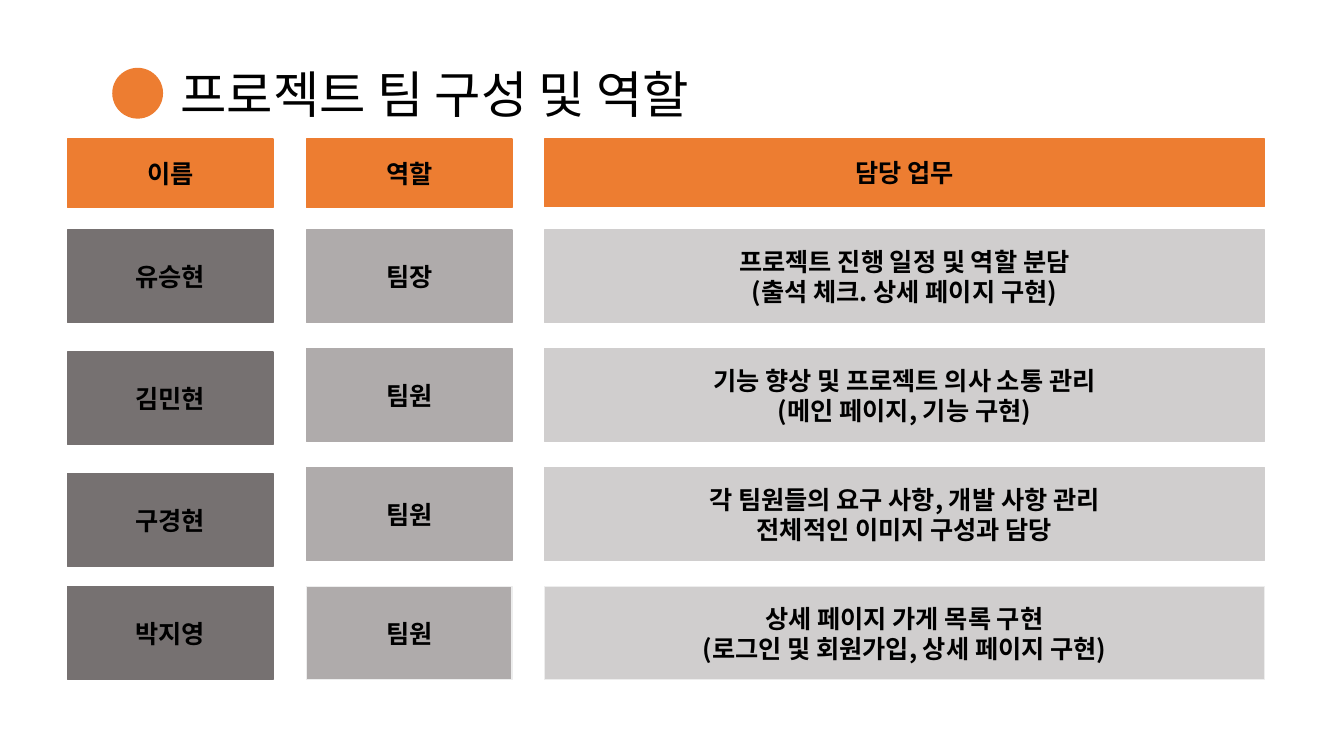
from lxml import etree
from pptx import Presentation
from pptx.dml.color import RGBColor
from pptx.enum.shapes import MSO_SHAPE
from pptx.enum.text import MSO_ANCHOR, MSO_AUTO_SIZE, PP_ALIGN
from pptx.oxml.ns import qn
from pptx.util import Inches, Pt

RECTANGLE, OVAL = MSO_SHAPE.RECTANGLE, MSO_SHAPE.OVAL
MIDDLE, CENTER = MSO_ANCHOR.MIDDLE, PP_ALIGN.CENTER
FIT_SHAPE = MSO_AUTO_SIZE.SHAPE_TO_FIT_TEXT
FONT = "Noto Sans CJK KR"
ORANGE, PALE = "ED7D31", "EDEDED"


def add_box(kind, left, top, width, height, fill, line):
    shape = slide.shapes.add_shape(
        kind, Inches(left), Inches(top), Inches(width), Inches(height))
    shape.shadow.inherit = False
    shape.fill.solid()
    shape.fill.fore_color.rgb = RGBColor.from_string(fill)
    shape.line.color.rgb = RGBColor.from_string(line)
    shape.line.width = Pt(1)
    return shape


def write_text(shape, text, size, bold=False, alignment=None):
    text_frame = shape.text_frame
    text_frame.word_wrap = True
    text_frame.text = text
    for paragraph in text_frame.paragraphs:
        paragraph.alignment = alignment
        for run in paragraph.runs:
            run.font.size = Pt(size)
            run.font.bold = bold
            run.font.name = FONT
            run.font.color.rgb = RGBColor.from_string("000000")
            east_asian = etree.SubElement(run.font._element, qn("a:ea"))
            east_asian.set("typeface", FONT)


presentation = Presentation()
presentation.slide_width = Inches(13.33)
presentation.slide_height = Inches(7.5)
slide = presentation.slides.add_slide(presentation.slide_layouts[6])

# Team grid: each column has its place, colour, row tops and texts
HEADER_TOP, ROW_HEIGHT = 1.38, 0.92
EVEN_TOPS = [2.28 + 1.18 * row for row in range(4)]
NAME_TOPS = [2.28, 3.49, 4.7, 5.82]
columns = [
    (0.67, 2.04, 0.68, "767171", "767171", NAME_TOPS, "이름",
     ["유승현", "김민현", "구경현", "박지영"]),
    (3.04, 2.04, 0.68, "AFABAB", PALE, EVEN_TOPS, "역할",
     ["팀장", "팀원", "팀원", "팀원"]),
    (5.4, 7.14, 0.67, "D0CECE", PALE, EVEN_TOPS, "담당 업무",
     ["프로젝트 진행 일정 및 역할 분담\n(출석 체크. 상세 페이지 구현)",
      "기능 향상 및 프로젝트 의사 소통 관리\n(메인 페이지, 기능 구현)",
      "각 팀원들의 요구 사항, 개발 사항 관리\n전체적인 이미지 구성과 담당",
      "상세 페이지 가게 목록 구현\n(로그인 및 회원가입, 상세 페이지 구현)"]),
]
for left, width, header_height, fill, last_line, tops, header, texts in columns:
    cells = [(HEADER_TOP, header_height, ORANGE, ORANGE, header)]
    for top, text in zip(tops, texts):
        line = last_line if top == tops[-1] else fill
        cells.append((top, ROW_HEIGHT, fill, line, text))
    for top, height, cell_fill, line, text in cells:
        cell = add_box(RECTANGLE, left, top, width, height, cell_fill, line)
        cell.text_frame.vertical_anchor = MIDDLE
        write_text(cell, text, 18, bold=True, alignment=CENTER)

# Title with its round marker
title = slide.shapes.add_textbox(
    Inches(1.69), Inches(0.58), Inches(8.06), Inches(0.71))
write_text(title, "프로젝트 팀 구성 및 역할", 36)
title.text_frame.auto_size = FIT_SHAPE
add_box(OVAL, 1.12, 0.68, 0.49, 0.49, ORANGE, ORANGE)

presentation.save("out.pptx")
